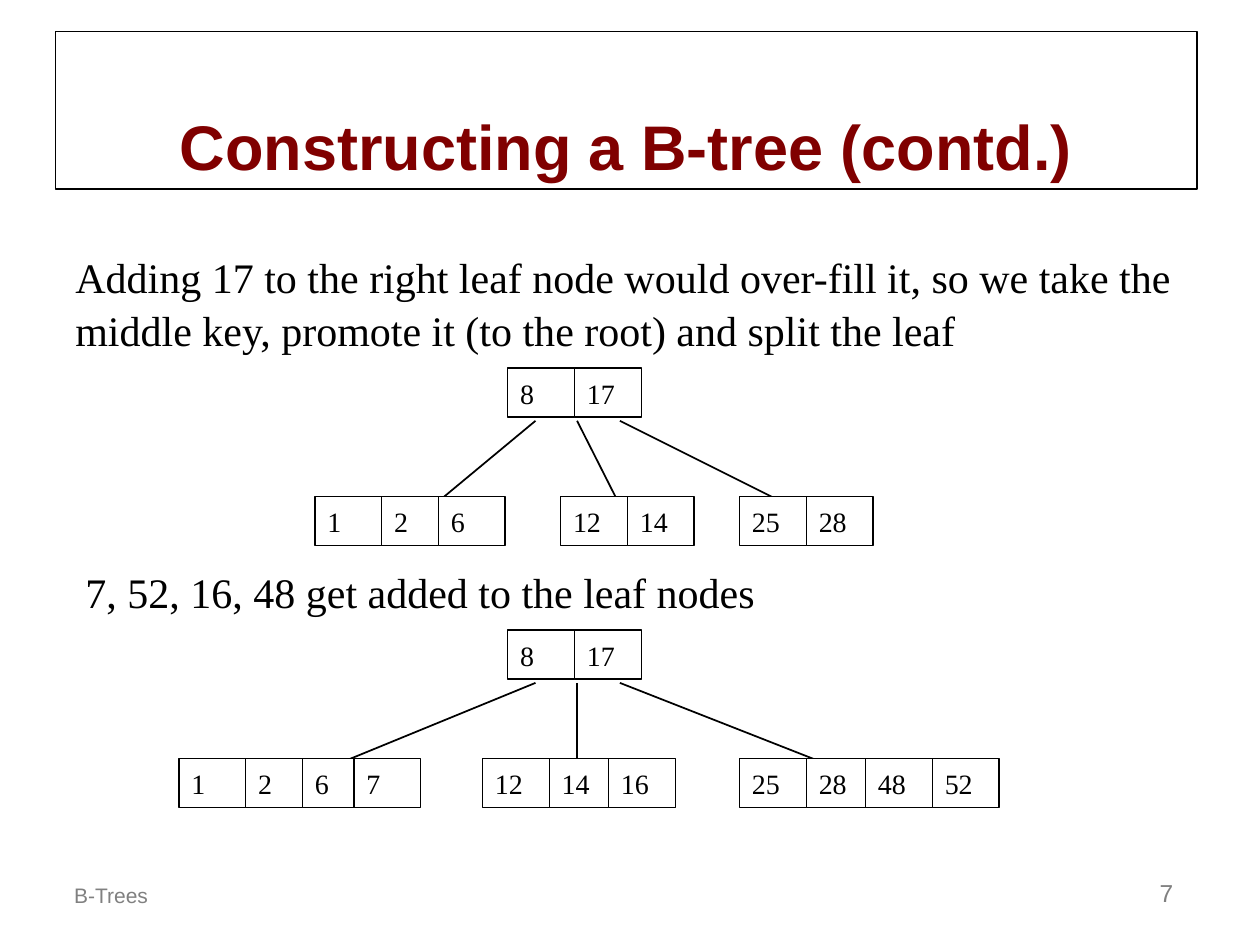
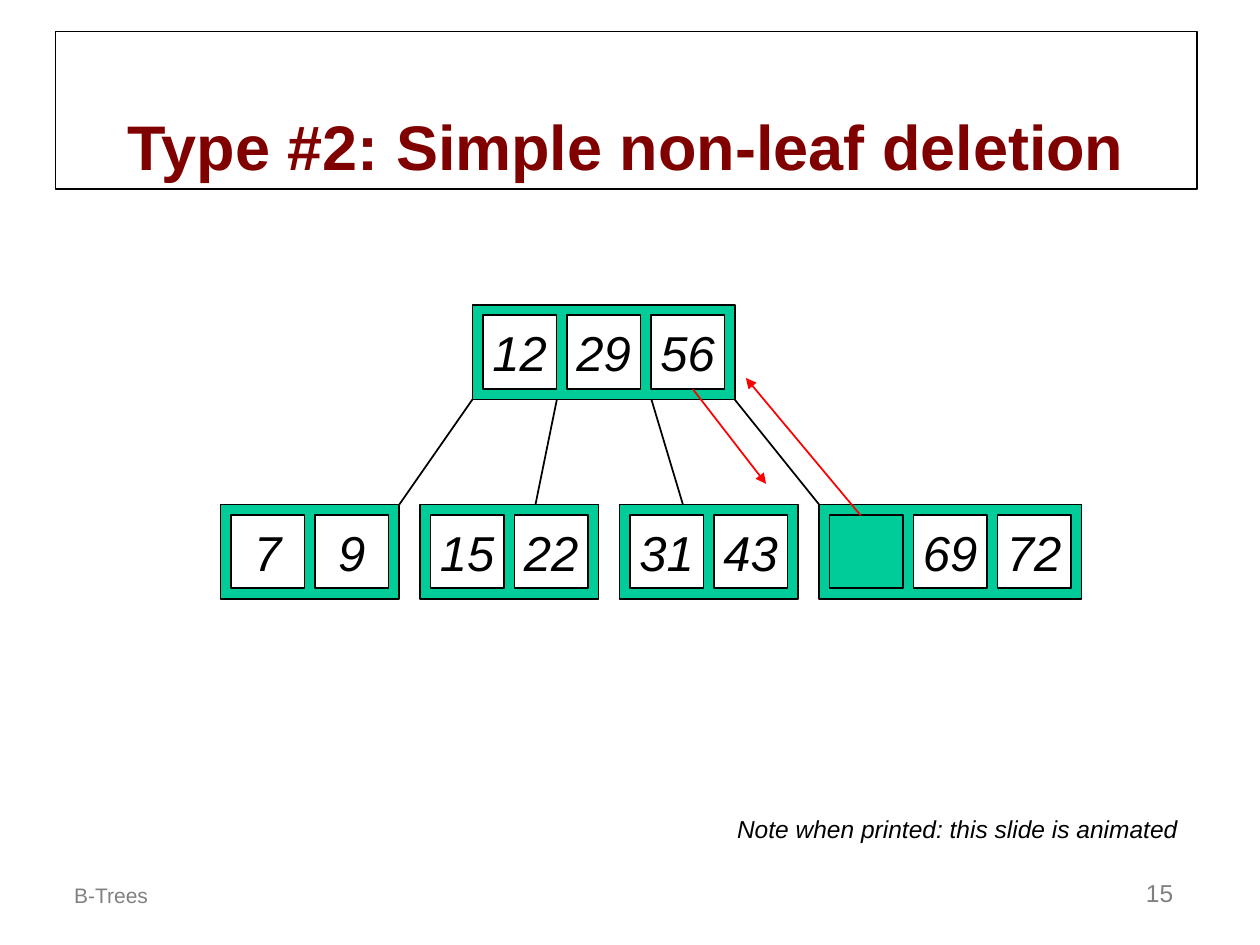
import pptx
import pptx.dml.color
import pptx.enum.shapes
import pptx.enum.text
import pptx.oxml.ns
import pptx.oxml.xmlchemy
import pptx.util

Inches = pptx.util.Inches
Pt = pptx.util.Pt
Align = pptx.enum.text.PP_ALIGN
Anchor = pptx.enum.text.MSO_ANCHOR

COLORS = {"black": "000000", "white": "FFFFFF", "title": "800000",
          "footer": "808080", "node": "00CC99", "move": "FF0000"}
SANS, SERIF = "Arial", "Times New Roman"
UNIT = 1 / 12
CELL, PITCH, NODE_H = 7 * UNIT, 8 * UNIT, 9 * UNIT


def rgb(name):
    """Return the named colour."""
    return pptx.dml.color.RGBColor.from_string(COLORS[name])


def write(sp, text, size=16, font=SANS, color="black", bold=False, italic=False,
          align=Align.LEFT, anchor=Anchor.TOP, wrap=True, spacing=None):
    """Put one formatted paragraph into a shape."""
    tf = sp.text_frame
    tf.word_wrap = wrap
    tf.vertical_anchor = anchor
    p = tf.paragraphs[0]
    p.alignment = align
    p.line_spacing = spacing
    r = p.add_run()
    r.text = text
    r.font.size, r.font.name = Pt(size), font
    r.font.bold, r.font.italic = bold, italic
    r.font.color.rgb = rgb(color)


def add_text(s, box, text, **fmt):
    """Add a text box."""
    write(s.shapes.add_textbox(*map(Inches, box)), text, **fmt)


def add_rect(s, box, fill=None, width=1):
    """Add a black-edged rectangle, filled if a colour is named."""
    sp = s.shapes.add_shape(pptx.enum.shapes.MSO_SHAPE.RECTANGLE, *map(Inches, box))
    sp.shadow.inherit = False
    if fill:
        sp.fill.solid()
        sp.fill.fore_color.rgb = rgb(fill)
    else:
        sp.fill.background()
    sp.line.color.rgb = rgb("black")
    sp.line.width = Pt(width)
    return sp


def add_line(s, start, end, color="black", arrow=False):
    """Add a straight line, with an arrowhead at its end if asked."""
    line = s.shapes.add_connector(pptx.enum.shapes.MSO_CONNECTOR.STRAIGHT,
                                  *map(Inches, (*start, *end)))
    line.line.color.rgb = rgb(color)
    line.line.width = Pt(1)
    new_element = pptx.oxml.xmlchemy.OxmlElement
    props = line._element.spPr
    if arrow:
        tail = new_element("a:tailEnd")
        tail.set("type", "triangle")
        props.find(pptx.oxml.ns.qn("a:ln")).append(tail)
    props.append(new_element("a:effectLst"))


def add_base(prs, title, number):
    """Add a slide with its framed title and footer."""
    s = prs.slides.add_slide(prs.slide_layouts[6])
    write(add_rect(s, (0.44, 0.25, 9.06, 1.25), width=0.75), title, size=36,
          color="title", bold=True, align=Align.CENTER, anchor=Anchor.BOTTOM)
    add_text(s, (0.49, 6.75, 3, 0.5), "B-Trees", size=12, color="footer",
             anchor=Anchor.BOTTOM)
    add_text(s, (7.33, 6.75, 2.08, 0.5), number, size=14, color="footer",
             align=Align.RIGHT, anchor=Anchor.BOTTOM)
    return s


def add_plain_node(s, left, top, keys, offsets):
    """Draw a row of plain key cells at the given offsets."""
    for key, offset in zip(keys, offsets):
        sp = add_rect(s, (left + offset, top, 0.53, 0.39), "white", 0.75)
        write(sp, key, font=SERIF, spacing=1.06)


def add_plain_tree(s, top, leaves, edge_ends):
    """Draw the 8-17 root, its edges and its leaves from the given top."""
    for x, (end_x, drop) in zip((4.25, 4.58, 4.92), edge_ends):
        add_line(s, (x, top + 0.42), (end_x, top + drop))
    add_plain_node(s, 4.03, top, ("8", "17"), (0, 0.53))
    for left, keys, offsets in leaves:
        add_plain_node(s, left, top + 1.02, keys, offsets)


def add_framed_node(s, left, top, keys):
    """Draw a green node whose keys sit in white cells; an empty key stays green."""
    add_rect(s, (left, top, len(keys) * PITCH + UNIT, NODE_H), "node")
    for i, key in enumerate(keys):
        sp = add_rect(s, (left + UNIT + i * PITCH, top + UNIT, CELL, CELL),
                      "white" if key else "node")
        if key:
            write(sp, key, size=28, italic=True, align=Align.CENTER,
                  anchor=Anchor.MIDDLE, wrap=False)


def build_construction(prs):
    """Build the slide on splitting a leaf and filling the leaves."""
    s = add_base(prs, "Constructing a B-tree (contd.)", "7")
    body = dict(size=24, font=SERIF, spacing=1.06)
    add_text(s, (0.5, 1.92, 9.17, 0.9),
             "Adding 17 to the right leaf node would over-fill it, so we take the "
             "middle key, promote it (to the root) and split the leaf", **body)
    add_plain_tree(s, 2.92,
                   [(2.5, ("1", "2", "6"), (0, 0.53, 0.98)),
                    (4.45, ("12", "14"), (0, 0.53)),
                    (5.87, ("25", "28"), (0, 0.53))],
                   [(3.25, 1.25), (5, 1.25), (6.42, 1.17)])
    add_text(s, (0.58, 4.42, 9, 0.5), "7, 52, 16, 48 get added to the leaf nodes", **body)
    add_plain_tree(s, 5,
                   [(1.42, ("1", "2", "6", "7"), (0, 0.53, 0.98, 1.39)),
                    (3.83, ("12", "14", "16"), (0, 0.53, 1)),
                    (5.87, ("25", "28", "48", "52"), (0, 0.53, 1, 1.53))],
                   [(2.42, 1.17), (4.58, 1.25), (6.83, 1.17)])


def add_deletion_tree(s, left, top):
    """Draw the framed tree and the two key moves from its top left corner."""
    root_left, leaf_top = left + 2, top + 19 * UNIT
    add_framed_node(s, root_left, top, ("12", "29", "56"))
    leaf_left = left
    for keys in (("7", "9"), ("15", "22"), ("31", "43"), ("", "69", "72")):
        add_framed_node(s, leaf_left, leaf_top, keys)
        leaf_left += len(keys) * PITCH + 3 * UNIT
    for x, end_x in ((2, 1.42), (2.67, 2.5), (3.42, 3.67), (4.08, 4.75)):
        add_line(s, (left + x, top + NODE_H), (left + end_x, leaf_top))
    for start, end in (((3.75, 0.67), (4.33, 1.42)), ((5.08, 1.67), (4.17, 0.58))):
        add_line(s, (left + start[0], top + start[1]),
                 (left + end[0], top + end[1]), "move", arrow=True)


def build_deletion(prs):
    """Build the slide on deleting a key from a non-leaf node."""
    s = add_base(prs, "Type #2: Simple non-leaf deletion", "15")
    add_deletion_tree(s, 1.75, 2.42)
    add_text(s, (5.75, 6.41, 3.7, 0.34), "Note when printed: this slide is animated",
             size=14, italic=True, align=Align.CENTER, anchor=Anchor.MIDDLE, wrap=False)


def main():
    """Build and save the presentation."""
    prs = pptx.Presentation()
    prs.slide_width, prs.slide_height = Inches(10), Inches(7.5)
    build_construction(prs)
    build_deletion(prs)
    prs.save("out.pptx")


if __name__ == "__main__":
    main()
